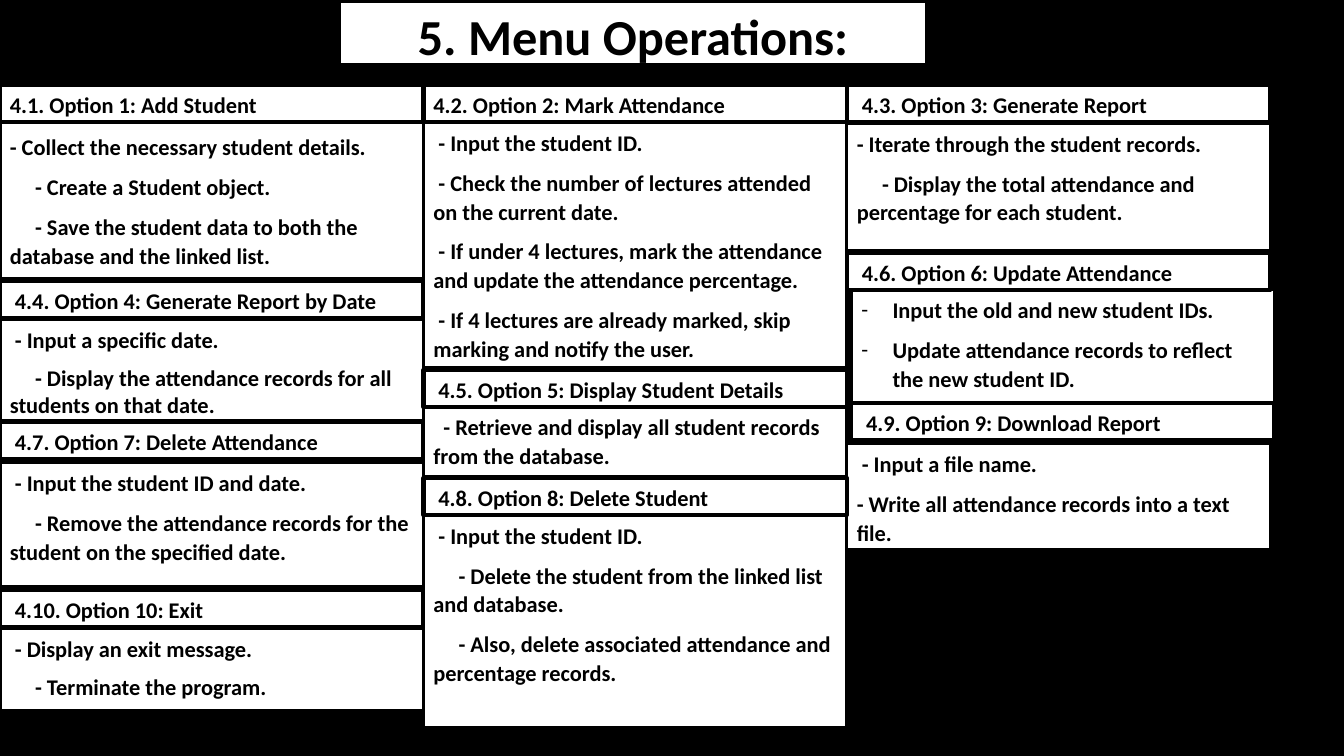
from pptx import Presentation
from pptx.dml.color import RGBColor
from pptx.enum.shapes import MSO_SHAPE
from pptx.enum.text import MSO_ANCHOR, MSO_AUTO_SIZE, PP_ALIGN
from pptx.oxml.ns import qn
from pptx.util import Inches, Pt
from lxml.etree import SubElement

BLACK = RGBColor(0, 0, 0)
WHITE = RGBColor(255, 255, 255)
COLUMN, ROW = Inches(4.2), Inches(0.1)
SPACE = Inches(0.05)
HANGING = Inches(0.31)
HEADING_ROWS = 3.7
MIDDLE, TOP = MSO_ANCHOR.MIDDLE, MSO_ANCHOR.TOP

# Each option: heading (column, row, indent, text), list (column, row, rows, anchor, tight_end), items (indent, text)
OPTIONS = [
    ((0, 8.4, 0, "4.1. Option 1: Add Student"), (0, 12.1, 15.5, MIDDLE, False),
     [(0, "- Collect the necessary student details."),
      (5, "- Create a Student object."),
      (5, "- Save the student data to both the database and the linked list.")]),
    ((1, 8.4, 0, "4.2. Option 2: Mark Attendance"), (1, 12, 24.5, MIDDLE, False),
     [(1, "- Input the student ID."),
      (1, "- Check the number of lectures attended on the current date."),
      (1, "- If under 4 lectures, mark the attendance and update the attendance percentage."),
      (1, "- If 4 lectures are already marked, skip marking and notify the user.")]),
    ((2, 8.4, 1, "4.3. Option 3: Generate Report"), (2, 12.2, 12.7, TOP, False),
     [(0, "- Iterate through the student records."),
      (5, "- Display the total attendance and percentage for each student.")]),
    ((0, 27.9, 1, "4.4. Option 4: Generate Report by Date"), (0, 31.7, 10, TOP, True),
     [(1, "- Input a specific date."),
      (5, "- Display the attendance records for all students on that date.")]),
    ((1, 36.7, 1, "4.5. Option 5: Display Student Details"), (1, 40.3, 7, TOP, False),
     [(2, "- Retrieve and display all student records from the database.")]),
    ((0, 41.9, 1, "4.7. Option 7: Delete Attendance"), (0, 45.9, 12.3, TOP, False),
     [(1, "- Input the student ID and date."),
      (5, "- Remove the attendance records for the student on the specified date.")]),
    ((1, 47.4, 1, "4.8. Option 8: Delete Student"), (1, 51.1, 21.1, TOP, False),
     [(1, "- Input the student ID."),
      (5, "- Delete the student from the linked list and database."),
      (5, "- Also, delete associated attendance and percentage records.")]),
    ((2.01, 40, 1, "4.9. Option 9: Download Report"), (2, 44, 10.5, TOP, False),
     [(1, "- Input a file name."),
      (0, "- Write all attendance records into a text file.")]),
    ((0, 58.5, 1, "4.10. Option 10: Exit"), (0, 62.3, 8.2, TOP, True),
     [(1, "- Display an exit message."),
      (5, "- Terminate the program.")]),
]
UPDATE_HEADING = (2, 25.1, 1, "4.6. Option 6: Update Attendance")
UPDATE_STEPS = [(0, "Input the old and new student IDs."),
                (0, "Update attendance records to reflect the new student ID.")]


def write(paragraph, text, size=16, align=PP_ALIGN.LEFT, indent=0, bullet=None, tight=False):
    paragraph.alignment = align
    paragraph.line_spacing = 1.0 if tight else 1.07
    paragraph.space_before = Pt(0)
    paragraph.space_after = Pt(0 if tight else 8)
    properties = paragraph._p.get_or_add_pPr()
    properties.set("marL", str(HANGING if bullet else 0))
    properties.set("indent", str(-HANGING if bullet else SPACE * indent))
    if bullet:
        SubElement(properties, qn("a:buFont"), typeface="Calibri")
        SubElement(properties, qn("a:buChar"), char=bullet)
    run = paragraph.add_run()
    run.text = text
    run.font.name, run.font.size, run.font.bold = "Calibri", Pt(size), True
    run.font.color.rgb = BLACK


class MenuSlide:
    def __init__(self, deck):
        self.slide = deck.slides.add_slide(deck.slide_layouts[1])
        self.slide.background.fill.solid()
        self.slide.background.fill.fore_color.rgb = BLACK

    def panel(self, panel, column, row, columns, rows, line, anchor):
        panel.left, panel.top = round(column * COLUMN), round(row * ROW)
        panel.width, panel.height = round(columns * COLUMN), round(rows * ROW)
        panel.fill.solid()
        panel.fill.fore_color.rgb = WHITE
        panel.line.color.rgb = BLACK
        panel.line.width = Pt(line)
        frame = panel.text_frame
        frame.word_wrap = True
        frame.auto_size = MSO_AUTO_SIZE.NONE
        frame.vertical_anchor = anchor
        return frame

    def rectangle(self):
        rectangle = self.slide.shapes.add_shape(MSO_SHAPE.RECTANGLE, 0, 0, COLUMN, ROW)
        rectangle.shadow.inherit = False
        return rectangle

    def title(self, text):
        frame = self.panel(self.slide.shapes.title, 0.8, 0.1, 1.39, 6.4, 3, MIDDLE)
        write(frame.paragraphs[0], text, size=36, align=PP_ALIGN.CENTER)

    def heading(self, column, row, indent, text):
        frame = self.panel(self.rectangle(), column, row, 1, HEADING_ROWS, 3, MIDDLE)
        write(frame.paragraphs[0], text, indent=indent)

    def steps(self, items, column, row, rows, anchor, tight_end, holder=None, bullet=None):
        frame = self.panel(holder or self.rectangle(), column, row, 1, rows, 2.25, anchor)
        for number, (indent, text) in enumerate(items, 1):
            paragraph = frame.paragraphs[0] if number == 1 else frame.add_paragraph()
            write(paragraph, text, indent=indent, bullet=bullet,
                  tight=tight_end and number == len(items))


def main():
    deck = Presentation()
    deck.slide_width, deck.slide_height = Inches(13.33), Inches(7.5)
    menu = MenuSlide(deck)
    menu.title("5. Menu Operations:")
    menu.steps(UPDATE_STEPS, 2.01, 28.7, 11.2, TOP, False,
               holder=menu.slide.placeholders[1], bullet="-")
    for _, place, items in OPTIONS:
        menu.steps(items, *place)
    for heading in [option[0] for option in OPTIONS] + [UPDATE_HEADING]:
        menu.heading(*heading)
    deck.save("out.pptx")


if __name__ == "__main__":
    main()
